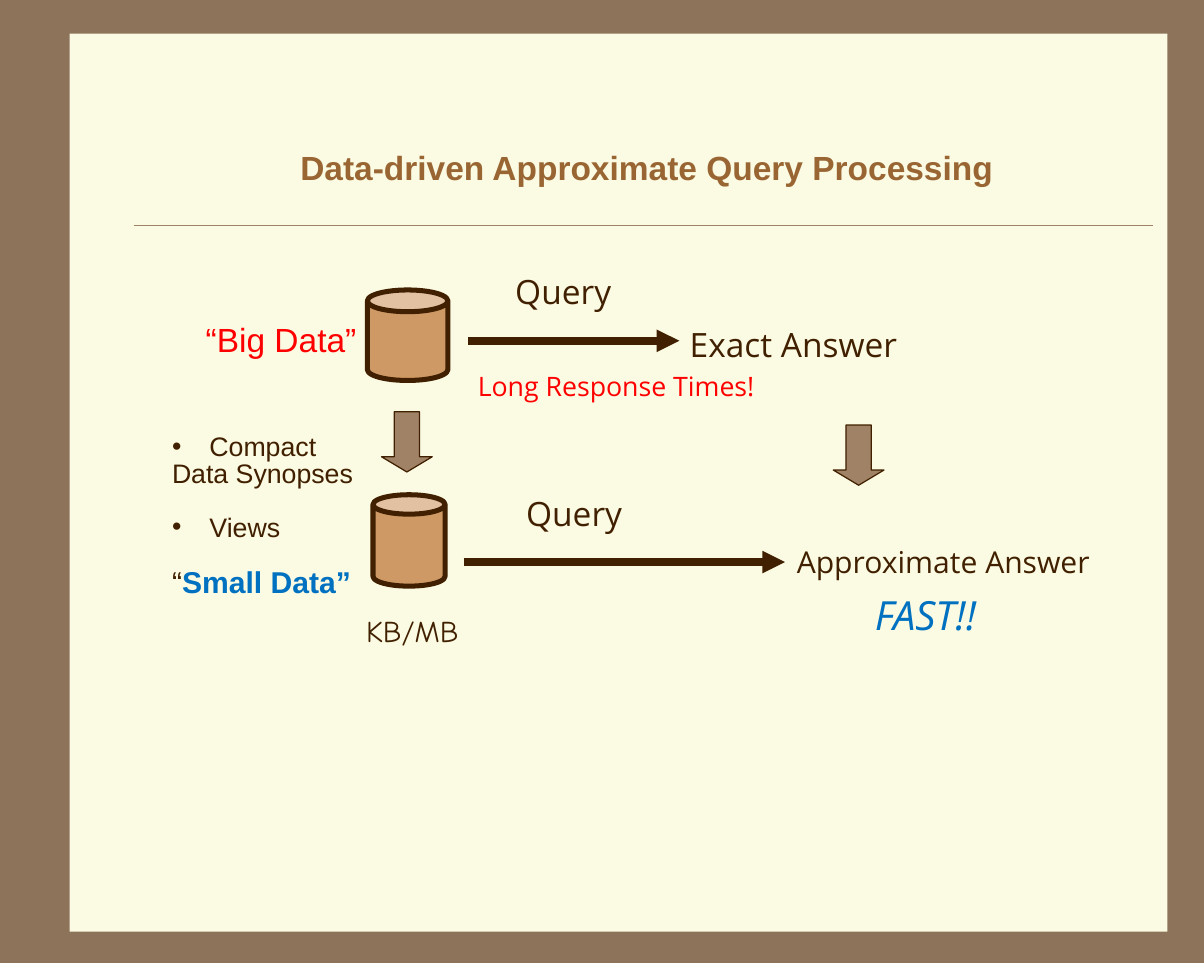
import pptx
import pptx.util
import pptx.dml.color
import pptx.enum.shapes
import pptx.enum.text
import pptx.oxml
import pptx.oxml.ns
from lxml import etree

Cm, Pt = pptx.util.Cm, pptx.util.Pt
RGB = pptx.dml.color.RGBColor.from_string
SHAPE = pptx.enum.shapes.MSO_SHAPE
ALIGN = pptx.enum.text.PP_ALIGN
ANCHOR = pptx.enum.text.MSO_ANCHOR
qn = pptx.oxml.ns.qn

COLORS = {
    "frame": "8C735A", "panel": "FBFAE2", "title": "996633", "ink": "402000",
    "can": "CE9964", "taupe": "A08366", "red": "FF0000", "blue": "0070C0",
}

deck = pptx.Presentation()
deck.slide_width, deck.slide_height = Cm(25.4), Cm(20.32)
slide = deck.slides.add_slide(deck.slide_layouts[6])
slide.background.fill.solid()
slide.background.fill.fore_color.rgb = RGB(COLORS["frame"])


def add_box(place, anchor=ANCHOR.TOP, wrap=True):
    box = slide.shapes.add_textbox(*[Cm(length) for length in place])
    box.text_frame.word_wrap = wrap
    box.text_frame.vertical_anchor = anchor
    return box


def add_span(para, text, color, **formats):
    span = para.add_run()
    span.text = text
    span.font.color.rgb = RGB(COLORS[color])
    for name, value in formats.items():
        setattr(span.font, name, value)


# Panel, databases and block arrows
shapes = [
    (SHAPE.RECTANGLE, (1.47, 0.71, 23.16, 18.95), "panel", 0, []),
    (SHAPE.CAN, (7.75, 6.12, 1.7, 1.91), "can", 3, [0.27]),
    (SHAPE.CAN, (7.87, 10.44, 1.52, 1.93), "can", 3, [0.27]),
    (SHAPE.DOWN_ARROW, (8.05, 8.69, 1.07, 1.27), "taupe", 0.75, [0.5, 0.3]),
    (SHAPE.DOWN_ARROW, (17.58, 8.97, 1.07, 1.27), "taupe", 0.75, [0.5, 0.3]),
]
for kind, place, fill, line_width, adjustments in shapes:
    shape = slide.shapes.add_shape(kind, *[Cm(length) for length in place])
    shape.shadow.inherit = False
    shape.fill.solid()
    shape.fill.fore_color.rgb = RGB(COLORS[fill])
    if line_width:
        shape.line.color.rgb = RGB(COLORS["ink"])
        shape.line.width = Pt(line_width)
    else:
        shape.line.fill.background()
    for index, value in enumerate(adjustments):
        shape.adjustments[index] = value

# Title rule and query arrows
lines = [
    (2.82, 24.33, 4.75, "taupe", 0.25, False),
    (9.88, 14.33, 7.19, "ink", 4.5, True),
    (9.78, 16.56, 11.86, "ink", 4.5, True),
]
for left, right, top, color, width, has_head in lines:
    line = slide.shapes.add_connector(
        pptx.enum.shapes.MSO_CONNECTOR.STRAIGHT, Cm(left), Cm(top), Cm(right), Cm(top))
    line.line.color.rgb = RGB(COLORS[color])
    line.line.width = Pt(width)
    if has_head:
        etree.SubElement(line.line._get_or_add_ln(), qn("a:tailEnd"), type="triangle")
    etree.SubElement(line._element.spPr, qn("a:effectLst"))

# Title
title = add_box((1.9, 2.16, 23.5, 2.74), ANCHOR.MIDDLE)
title_para = title.text_frame.paragraphs[0]
title_para.alignment = ALIGN.CENTER
add_span(title_para, "Data-driven Approximate Query Processing", "title",
         name="Arial", size=Pt(20), bold=True)

# Labels in Open Sans
labels = [
    ("Query", (10.62, 5.59, 5.92, 1.09), 20, "ink", False),
    ("Exact Answer", (14.3, 6.71, 7.62, 1.09), 20, "ink", False),
    ("Long Response Times!", (9.83, 7.67, 13.13, 0.91), 16, "red", False),
    ("Query", (10.85, 10.29, 8.69, 1.09), 20, "ink", False),
    ("Approximate Answer", (16.56, 11.35, 8.69, 1.02), 18, "ink", False),
    ("FAST!!", (18.21, 12.34, 6.78, 1.27), 24, "blue", True),
]
for text, place, size, color, italic in labels:
    add_span(add_box(place).text_frame.paragraphs[0], text, color,
             name="Open Sans", size=Pt(size), italic=italic)

# Captions of the two databases
big_para = add_box((4.09, 5.54, 4.65, 3.38), ANCHOR.MIDDLE).text_frame.paragraphs[0]
big_para.line_spacing = 0.85
add_span(big_para, "“Big Data”", "red", name="Arial", size=Pt(20))

size_para = add_box((7.47, 12.8, 2.46, 1.02), ANCHOR.MIDDLE, False).text_frame.paragraphs[0]
size_para.alignment = ALIGN.CENTER
add_span(size_para, "KB/MB", "ink", name="Comic Neue", size=Pt(18))

# Synopses list: bullet, space before, spans of (text, color, size, bold)
synopses = [
    (True, 0, [("Compact", "ink", 16, False)]),
    (False, 0, [("Data Synopses", "ink", 16, False)]),
    (True, 15.6, [("Views", "ink", 16, False)]),
    (False, 15.6, [("“", "ink", 18, False), ("Small Data”", "blue", 18, True)]),
]
frame = add_box((3.38, 9.22, 4.65, 3.38), ANCHOR.MIDDLE).text_frame
for index, (bullet, space, spans) in enumerate(synopses):
    para = frame.add_paragraph() if index else frame.paragraphs[0]
    properties = para._p.get_or_add_pPr()
    properties.set("marL", str(Cm(0.79)))
    properties.set("indent", str(-Cm(0.79)))
    if bullet:
        bullet_color = etree.SubElement(properties, qn("a:buClr"))
        etree.SubElement(bullet_color, qn("a:srgbClr"), val=COLORS["ink"])
        etree.SubElement(properties, qn("a:buFont"), typeface="Arial")
        etree.SubElement(properties, qn("a:buChar"), char="•")
    para.line_spacing = 0.85
    para.space_before = Pt(space)
    for text, color, size, bold in spans:
        add_span(para, text, color, name="Arial", size=Pt(size), bold=bold)

deck.save("out.pptx")
